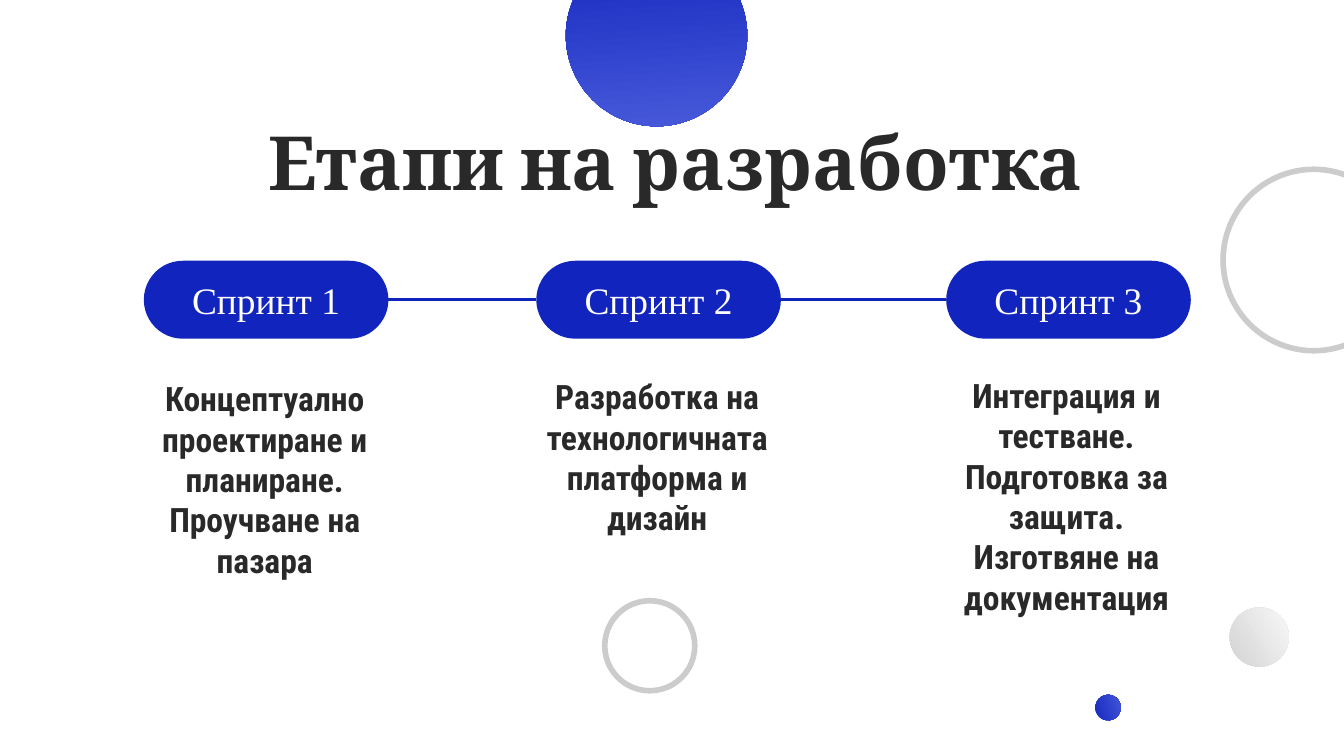
from itertools import pairwise

from lxml import etree
from pptx import Presentation
from pptx import util as u
from pptx.dml.color import RGBColor
from pptx.enum import shapes, text
from pptx.oxml import ns

# The grid has square cells: 100 columns by 56.25 rows.
CELL = u.Inches(0.1)
COLS, ROWS = 100, 56.25
BLUE, LIGHT, INK, GREY, WHITE = "1125BE", "495BDA", "292929", "CCCCCC", "FFFFFF"
OVAL = shapes.MSO_SHAPE.OVAL
PILL = shapes.MSO_SHAPE.ROUNDED_RECTANGLE

# Name, left column of the pill, text, text box relative to the pill's corner
STEPS = [
    ("Спринт 1", 10.7, "Концептуално проектиране и планиране. Проучване на пазара",
     (-0.7, 8.7, 19.4, 15.1)),
    ("Спринт 2", 39.9, "Разработка на технологичната платформа и дизайн",
     (-0.8, 11.8, 19.6, 5.6)),
    ("Спринт 3", 70.4,
     "Интеграция и тестване. Подготовка за защита. Изготвяне на документация",
     (0, 14.6, 17.9, 5.8)),
]


def cells(*sizes):
    return [round(size * CELL) for size in sizes]


def color(code):
    return RGBColor.from_string(code)


def write(shape, words, font, size, ink=INK, bold=False):
    """Put centred text into a shape."""
    frame = shape.text_frame
    frame.word_wrap = True
    frame.vertical_anchor = text.MSO_ANCHOR.MIDDLE
    frame.margin_left = frame.margin_right = CELL
    frame.margin_top = frame.margin_bottom = CELL
    para = frame.paragraphs[0]
    para.alignment = text.PP_ALIGN.CENTER
    run = para.add_run()
    run.text = words
    run.font.name, run.font.size, run.font.bold = font, u.Pt(size), bold
    run.font.color.rgb = color(ink)


def label(slide, box, words, **style):
    write(slide.shapes.add_textbox(*cells(*box)), words, **style)


def solid(slide, kind, box):
    """Add a preset shape with no shadow and no outline."""
    shape = slide.shapes.add_shape(kind, *cells(*box))
    shape.shadow.inherit = False
    shape.line.fill.background()
    return shape


def ball(slide, box, start, end, turn):
    """Add a circle shaded from top to bottom, then turned."""
    shape = solid(slide, OVAL, box)
    shape.rotation = turn
    shape.fill.gradient()
    shape.fill.gradient_angle = 270
    for stop, place, code in zip(shape.fill.gradient_stops, (0, 1), (start, end)):
        stop.position = place
        stop.color.rgb = color(code)


def ring(slide, box):
    shape = solid(slide, OVAL, box)
    shape.fill.background()
    shape.line.color.rgb = color(GREY)
    shape.line.width = u.Pt(3)


def link(slide, start, end, row):
    line = slide.shapes.add_connector(
        shapes.MSO_CONNECTOR.STRAIGHT, *cells(start, row, end, row))
    line.line.color.rgb = color(BLUE)
    line.line.width = u.Pt(1.5)
    etree.SubElement(line._element.spPr, ns.qn("a:effectLst"))


def decor(slide):
    ball(slide, (81.5, 51.7, 1.9, 1.9), BLUE, LIGHT, 251)
    ball(slide, (91.5, 45.2, 4.4, 4.4), GREY, WHITE, 240)
    ring(slide, (91, 12.6, 13.5, 13.5))
    ball(slide, (42.1, -4.1, 13.5, 13.5), BLUE, LIGHT, 356.1)
    ring(slide, (45, 44.7, 6.7, 6.7))


def step(slide, box, name, note, offset):
    """Add a pill with its name and the text below it."""
    left, top, *_ = box
    pill = solid(slide, PILL, box)
    pill.adjustments[0] = 0.5
    pill.fill.solid()
    pill.fill.fore_color.rgb = color(BLUE)
    write(pill, name, font="Times New Roman", size=20, ink=WHITE)
    right, down, *size = offset
    label(slide, (left + right, top + down, *size), note,
          font="Roboto Condensed", size=18, bold=True)


def stages(slide, top, width, height):
    for name, left, note, offset in STEPS:
        step(slide, (left, top, width, height), name, note, offset)
    for (_, left, *_), (_, after, *_) in pairwise(STEPS):
        link(slide, left + width, after, top + height / 2)


def main():
    deck = Presentation()
    deck.slide_width, deck.slide_height = cells(COLS, ROWS)
    slide = deck.slides.add_slide(deck.slide_layouts[6])
    decor(slide)
    label(slide, (8.1, 8.8, 84.3, 6.3), "Етапи на разработка",
          font="Cambria", size=40, bold=True)
    stages(slide, 19.4, 18.2, 5.8)
    deck.save("out.pptx")


if __name__ == "__main__":
    main()
